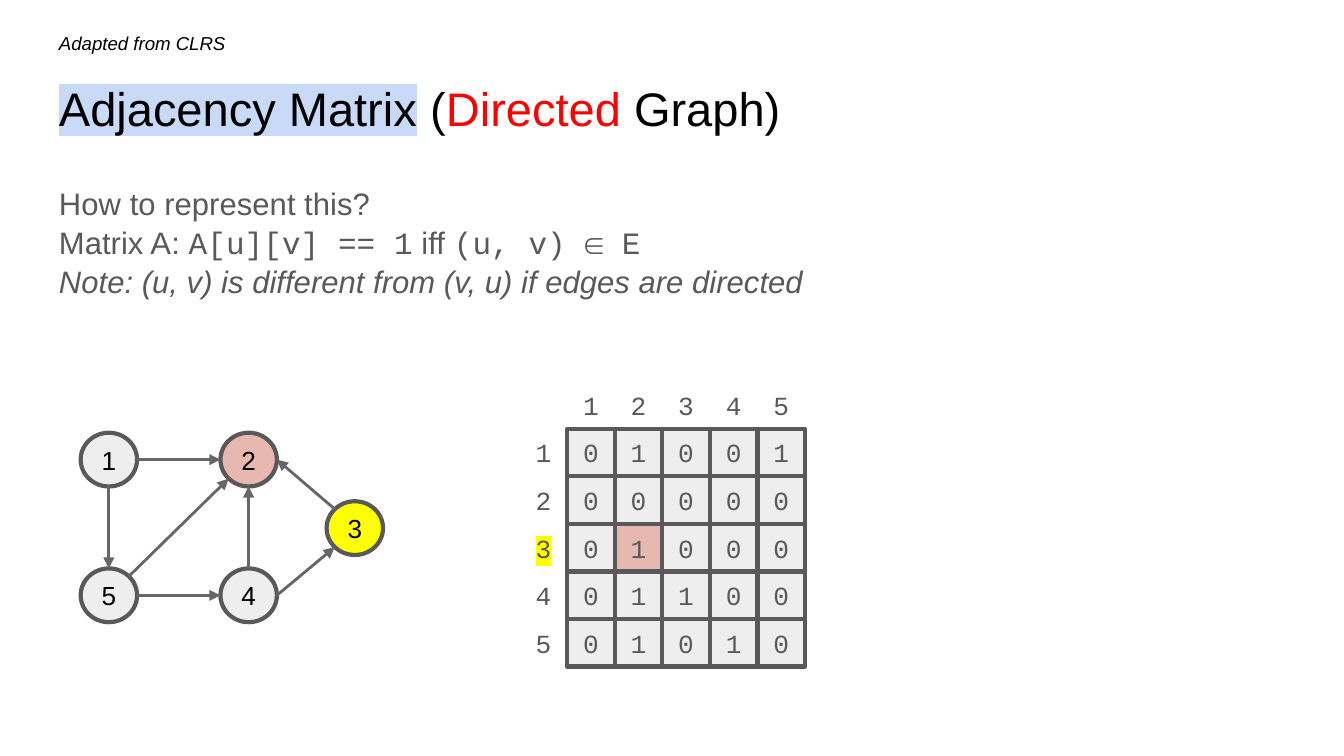
from lxml import etree
from pptx import Presentation
from pptx.dml.color import RGBColor
from pptx.enum import shapes, text
from pptx.oxml.ns import qn
from pptx.util import Inches, Pt

DARK, GREY, PINK, GOLD = "595959", "EEEEEE", "E6B8AF", "FFFF00"
SANS, MONO = "Arial", "Courier New"

# Widescreen 16:9 slide
deck = Presentation()
deck.slide_width, deck.slide_height = Inches(10), Inches(10 * 9 / 16)
slide = deck.slides.add_slide(deck.slide_layouts[6])


def rgb(hue):
    return RGBColor.from_string(hue)


def write(shape, runs, size, pad=0):
    """Fill a shape with runs of (words, font, colour, italic, highlight)."""
    frame = shape.text_frame
    frame.word_wrap = True
    frame.margin_left = frame.margin_right = Inches(pad)
    frame.margin_top = frame.margin_bottom = Inches(pad)
    para = frame.paragraphs[0]
    if not pad:
        frame.vertical_anchor = text.MSO_ANCHOR.MIDDLE
        para.alignment = text.PP_ALIGN.CENTER
    for words, face, hue, slant, mark in runs:
        if words == "\n":
            para.add_line_break()
            end = etree.SubElement(para._p[-1], qn("a:rPr"))
            end.set("sz", str(round(size * 100)))
            continue
        run = para.add_run()
        run.text = words
        font = run.font
        font.size, font.name, font.italic = Pt(size), face, slant
        font.color.rgb = rgb(hue)
        if mark:
            high = etree.Element(qn("a:highlight"))
            etree.SubElement(high, qn("a:srgbClr")).set("val", mark)
            font._element.find(qn("a:solidFill")).addnext(high)
    return para


# Title, source note and body text
title = [
    ("Adjacency Matrix", SANS, "000000", False, "C9DAF8"),
    (" (", SANS, "000000", False, None),
    ("Directed", SANS, "FF0000", False, None),
    (" Graph)", SANS, "000000", False, None),
]
note = [("Adapted from CLRS", SANS, "000000", True, None)]
body = [
    ("How to represent this?", SANS, DARK, False, None),
    ("\n", SANS, DARK, False, None),
    ("Matrix A: ", SANS, DARK, False, None),
    ("A[u][v] == 1", MONO, DARK, False, None),
    (" iff ", SANS, DARK, False, None),
    ("(u, v) ∈ E", MONO, DARK, False, None),
    ("\n", SANS, DARK, False, None),
    ("Note: (u, v) is different from (v, u) if edges are directed",
     SANS, DARK, True, None),
]
for top, wide, high, runs, size in [
    (0.49, 9.32, 0.63, title, 25.2),
    (0.15, 1.51, 0.29, note, 10),
    (1.26, 9.32, 1.29, body, 16.65),
]:
    box = slide.shapes.add_textbox(Inches(0.34), Inches(top), Inches(wide), Inches(high))
    para = write(box, runs, size, 0.1)
para.line_spacing = 1.05
para.space_after = Pt(12)

# Graph nodes: centre and fill
wide, high = 0.42, 0.4
nodes = {
    1: (0.81, 3.42, GREY),
    2: (1.85, 3.42, PINK),
    3: (2.64, 3.93, GOLD),
    4: (1.85, 4.43, GREY),
    5: (0.81, 4.43, GREY),
}
for name, (x, y, fill) in nodes.items():
    node = slide.shapes.add_shape(
        shapes.MSO_SHAPE.OVAL, Inches(x - wide / 2), Inches(y - high / 2),
        Inches(wide), Inches(high))
    node.shadow.inherit = False
    node.fill.solid()
    node.fill.fore_color.rgb = rgb(fill)
    node.line.color.rgb = rgb(DARK)
    node.line.width = Pt(2.25)
    write(node, [(str(name), SANS, "000000", False, None)], 14)

# Directed edges, each from a point on one rim to a point on another
d = 0.71
rim = {"N": (0, -1), "S": (0, 1), "E": (1, 0), "W": (-1, 0),
       "NE": (d, -d), "NW": (-d, -d), "SW": (-d, d)}
for start, out, end, into in [
    (1, "E", 2, "W"), (1, "S", 5, "N"), (5, "NE", 2, "SW"), (5, "E", 4, "W"),
    (4, "N", 2, "S"), (4, "E", 3, "SW"), (3, "NW", 2, "E"),
]:
    ends = []
    for name, side in [(start, out), (end, into)]:
        x, y, fill = nodes[name]
        dx, dy = rim[side]
        ends += [Inches(x + dx * wide / 2), Inches(y + dy * high / 2)]
    edge = slide.shapes.add_connector(shapes.MSO_CONNECTOR.STRAIGHT, *ends)
    edge.line.color.rgb = rgb("666666")
    edge.line.width = Pt(1.5)
    etree.SubElement(edge.line._get_or_add_ln(), qn("a:tailEnd")).set("type", "triangle")
    etree.SubElement(edge._element.spPr, qn("a:effectLst"))

# Matrix cells
left, top = 4.22, 3.19
step = 1.77 / 5
side = Inches(step)
for r, row in enumerate(["01001", "00000", "01000", "01100", "01010"]):
    for c, bit in enumerate(row):
        cell = slide.shapes.add_shape(
            shapes.MSO_SHAPE.RECTANGLE, Inches(left + c * step),
            Inches(top + r * step), side, side)
        cell.shadow.inherit = False
        cell.fill.solid()
        cell.fill.fore_color.rgb = rgb(PINK if (r, c) == (2, 1) else GREY)
        cell.line.color.rgb = rgb(DARK)
        cell.line.width = Pt(2.25)
        write(cell, [(bit, MONO, DARK, False, None)], 14)

# Row and column labels
for i in range(5):
    for x, y, mark in [
        (left - step, top + i * step, GOLD if i == 2 else None),
        (left + i * step, top - step, None),
    ]:
        label = slide.shapes.add_textbox(Inches(x), Inches(y), side, side)
        write(label, [(str(i + 1), MONO, DARK, False, mark)], 14)

deck.save("out.pptx")
